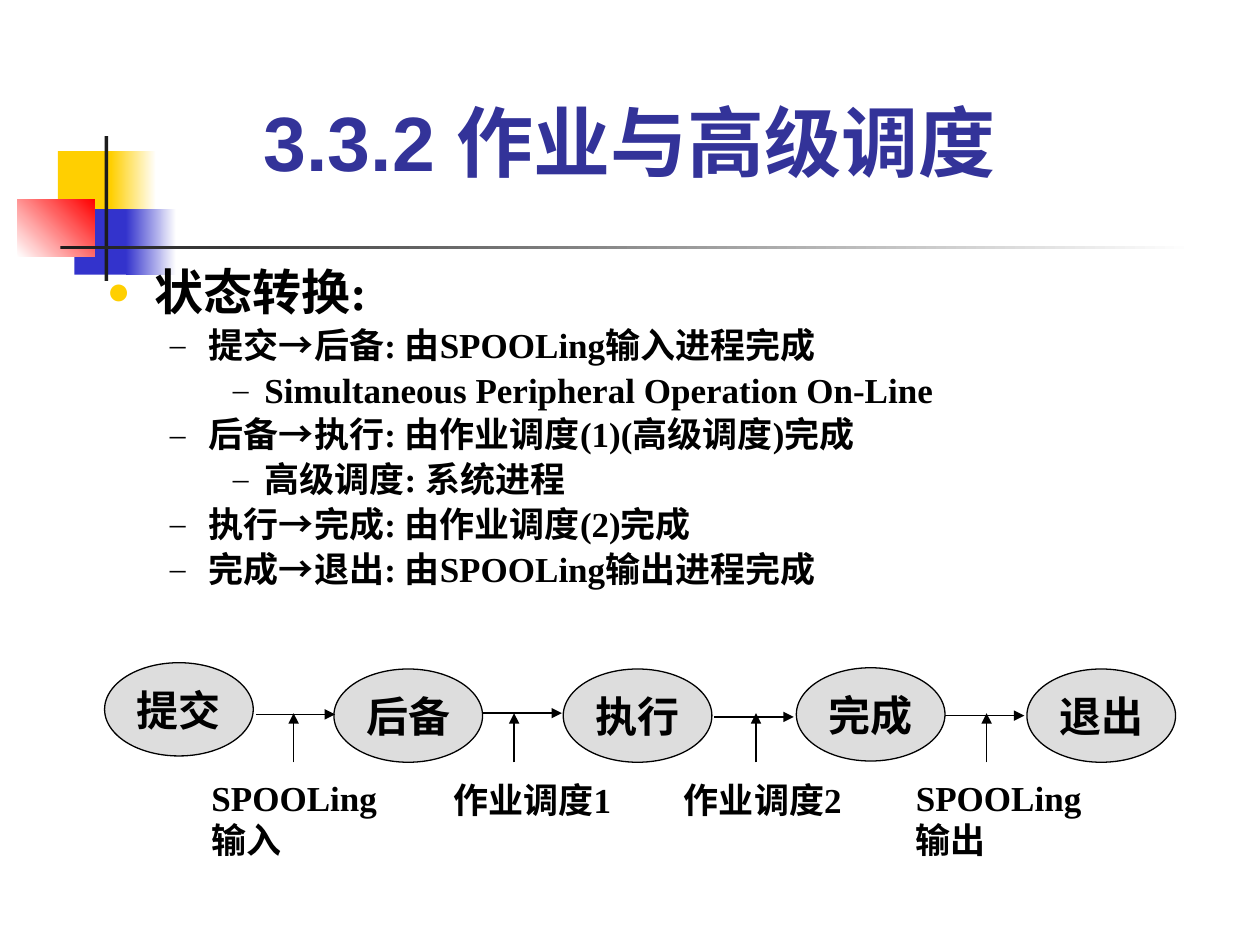
from lxml import etree
from pptx import Presentation
from pptx.dml.color import RGBColor
from pptx.enum.shapes import MSO_CONNECTOR, MSO_SHAPE
from pptx.enum.text import MSO_ANCHOR, MSO_AUTO_SIZE, PP_ALIGN
from pptx.oxml.ns import qn
from pptx.util import Inches, Pt

RECT, OVAL = MSO_SHAPE.RECTANGLE, MSO_SHAPE.OVAL
STRAIGHT = MSO_CONNECTOR.STRAIGHT
TOP, MIDDLE = MSO_ANCHOR.TOP, MSO_ANCHOR.MIDDLE
LEFT, CENTER = PP_ALIGN.LEFT, PP_ALIGN.CENTER
GROW = MSO_AUTO_SIZE.SHAPE_TO_FIT_TEXT

COLORS = {
    "yellow": "FFCF01", "blue": "3333CC", "red": "FF0000", "white": "FFFFFF",
    "bar": "1C1C1C", "title": "333399", "text": "000000", "state": "DDDDDD",
}
SERIF = "Times New Roman"

# left, top, width, height, colours (two make a gradient), angle
DECORATION = [
    (0.46, 1.2, 0.48, 0.52, ["yellow"], 0),
    (0.88, 1.2, 0.36, 0.52, ["yellow", "white"], 0),
    (0.59, 1.66, 0.46, 0.52, ["blue"], 0),
    (1, 1.66, 0.4, 0.52, ["blue", "white"], 0),
    (0.14, 1.58, 0.61, 0.46, ["white", "red"], 45),
    (0.83, 1.08, 0.03, 1.15, ["bar"], 0),
    (0.48, 1.95, 9, 0.03, ["bar", "white"], 0),
]
# margin, hanging indent, bullet, bullet colour, bullet percent, text size
LEVELS = [
    (0.38, 0.38, "●", "yellow", 80, 28),
    (0.81, 0.31, "–", "text", 90, 20),
    (1.25, 0.25, "–", "text", 90, 20),
]
OUTLINE = [
    (0, "状态转换:"),
    (1, "提交→后备: 由SPOOLing输入进程完成"),
    (2, "Simultaneous Peripheral Operation On-Line"),
    (1, "后备→执行: 由作业调度(1)(高级调度)完成"),
    (2, "高级调度: 系统进程"),
    (1, "执行→完成: 由作业调度(2)完成"),
    (1, "完成→退出: 由SPOOLing输出进程完成"),
]
STATES = [
    ("提交", 0.83, 5.26), ("后备", 2.65, 5.31), ("执行", 4.47, 5.31),
    ("完成", 6.32, 5.3), ("退出", 8.15, 5.31),
]
TRANSITIONS = [(2.03, 5.67), (3.83, 5.66), (5.67, 5.69), (7.5, 5.68)]
TRANSITION_LENGTH = 0.63
# text, left, top, width, height, x of the pointer above
CAUSES = [
    ("SPOOLing输入", 1.58, 6.11, 1.67, 0.77, 2.33),
    ("作业调度1", 3.5, 6.13, 1.5, 0.43, 4.08),
    ("作业调度2", 5.33, 6.13, 1.5, 0.43, 6),
    ("SPOOLing输出", 7.17, 6.11, 1.58, 0.77, 7.83),
]


def rgb(name):
    return RGBColor.from_string(COLORS[name])


def add_run(p, text, size, font=SERIF, color="text"):
    r = p.add_run()
    r.text = text
    for name, value in {"size": Pt(size), "name": font, "bold": True}.items():
        setattr(r.font, name, value)
    r.font.color.rgb = rgb(color)


def add_block(s, left, top, width, height, colors, angle):
    """Add a borderless rectangle with a solid or two-colour gradient fill."""
    sp = s.shapes.add_shape(RECT, *map(Inches, (left, top, width, height)))
    sp.shadow.inherit = False
    sp.line.fill.background()
    if len(colors) == 1:
        sp.fill.solid()
        sp.fill.fore_color.rgb = rgb(colors[0])
        return
    sp.fill.gradient()
    sp.fill.gradient_angle = angle
    for stop, color, position in zip(sp.fill.gradient_stops, colors, (0, 1)):
        stop.color.rgb = rgb(color)
        stop.position = position


def add_text_frame(s, left, top, width, height, anchor=TOP):
    box = s.shapes.add_textbox(*map(Inches, (left, top, width, height)))
    tf = box.text_frame
    tf.word_wrap = True
    tf.vertical_anchor = anchor
    return tf


def add_title(s):
    p = add_text_frame(s, 0.75, 0.57, 8.5, 1.1, MIDDLE).paragraphs[0]
    p.alignment = CENTER
    add_run(p, "3.3.2 作业与高级调度", 44, "Arial", "title")


def format_bullet(p, margin, hanging, char, color, percent):
    pPr = p._p.get_or_add_pPr()
    pPr.set("marL", str(Inches(margin)))
    pPr.set("indent", str(-Inches(hanging)))
    before = etree.SubElement(pPr, qn("a:spcBef"))
    etree.SubElement(before, qn("a:spcPct"), val="20000")
    bullet_color = etree.SubElement(pPr, qn("a:buClr"))
    etree.SubElement(bullet_color, qn("a:srgbClr"), val=COLORS[color])
    etree.SubElement(pPr, qn("a:buSzPct"), val=str(percent * 1000))
    etree.SubElement(pPr, qn("a:buFont"), typeface=SERIF)
    etree.SubElement(pPr, qn("a:buChar"), char=char)


def add_outline(s):
    tf = add_text_frame(s, 0.75, 2.08, 8.5, 2.67)
    for i, (level, text) in enumerate(OUTLINE):
        p = tf.add_paragraph() if i else tf.paragraphs[0]
        p.level = level
        p.alignment = LEFT
        p.line_spacing = 0.9
        *bullet, size = LEVELS[level]
        format_bullet(p, *bullet)
        add_run(p, text, size)


def add_state(s, text, left, top):
    sp = s.shapes.add_shape(OVAL, *map(Inches, (left, top, 1.18, 0.74)))
    sp.shadow.inherit = False
    sp.fill.solid()
    sp.fill.fore_color.rgb = rgb("state")
    sp.line.color.rgb = rgb("text")
    sp.line.width = Pt(0.75)
    tf = sp.text_frame
    tf.word_wrap = False
    tf.vertical_anchor = MIDDLE
    p = tf.paragraphs[0]
    p.alignment = CENTER
    add_run(p, text, 24)


def add_arrow(s, x1, y1, x2, y2):
    line = s.shapes.add_connector(STRAIGHT, *map(Inches, (x1, y1, x2, y2)))
    line.line.color.rgb = rgb("text")
    line.line.width = Pt(0.75)
    etree.SubElement(line.line._get_or_add_ln(), qn("a:tailEnd"), type="triangle")
    etree.SubElement(line._element.spPr, qn("a:effectLst"))


def add_cause(s, text, left, top, width, height, pointer_x):
    """Add the label under a transition and the arrow pointing up to it."""
    tf = add_text_frame(s, left, top, width, height)
    tf.auto_size = GROW
    add_run(tf.paragraphs[0], text, 20)
    add_arrow(s, pointer_x, 6.05, pointer_x, 5.66)


def main():
    prs = Presentation()
    prs.slide_width, prs.slide_height = Inches(10), Inches(7.5)
    s = prs.slides.add_slide(prs.slide_layouts[6])
    for block in DECORATION:
        add_block(s, *block)
    add_title(s)
    add_outline(s)
    for state in STATES:
        add_state(s, *state)
    for x, y in TRANSITIONS:
        add_arrow(s, x, y, x + TRANSITION_LENGTH, y)
    for cause in CAUSES:
        add_cause(s, *cause)
    prs.save("out.pptx")


if __name__ == "__main__":
    main()
